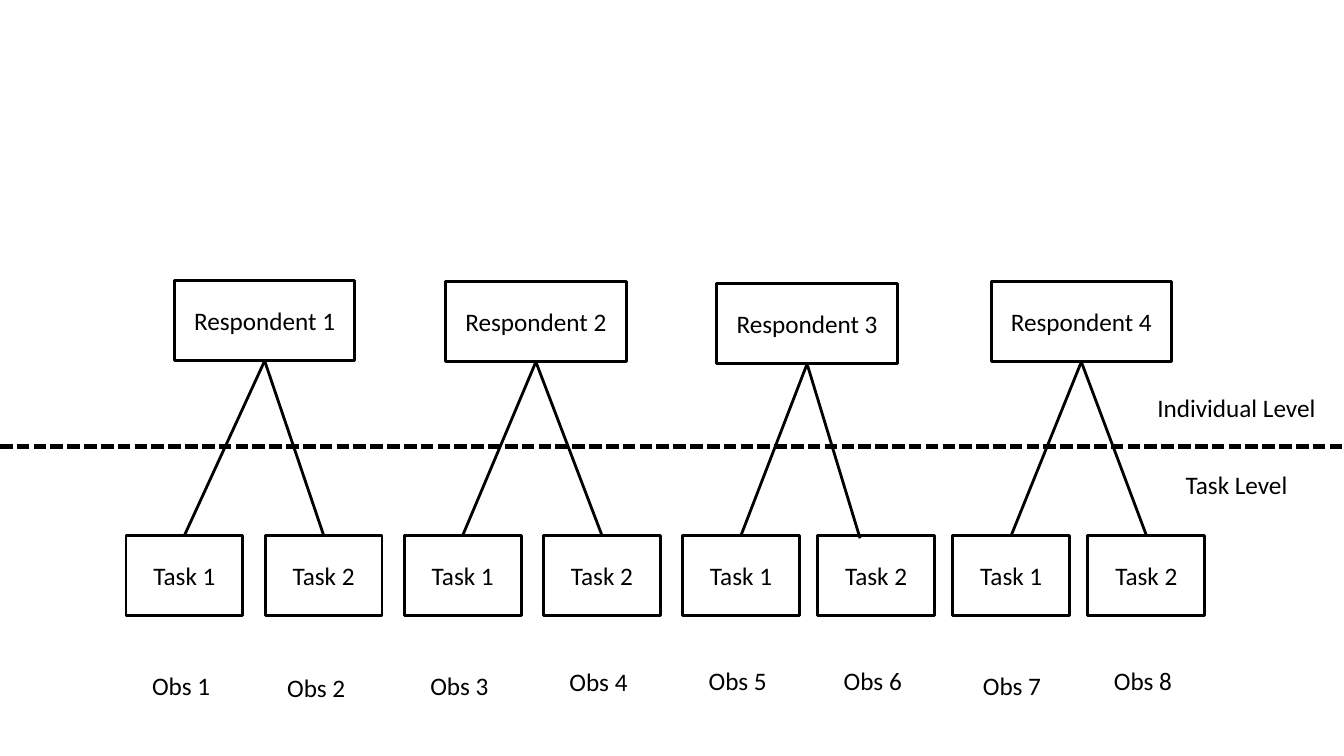
from dataclasses import dataclass

from lxml.etree import SubElement
from pptx import Presentation
from pptx.dml.color import RGBColor
from pptx.enum.dml import MSO_LINE
from pptx.enum.shapes import MSO_CONNECTOR, MSO_SHAPE
from pptx.enum.text import MSO_ANCHOR, MSO_AUTO_SIZE, PP_ALIGN
from pptx.oxml.ns import qn
from pptx.shapes.connector import Connector
from pptx.slide import Slide
from pptx.text.text import TextFrame
from pptx.util import Inches, Pt


@dataclass(frozen=True)
class Theme:
    """Colours, type and line weights of the diagram."""
    ink: RGBColor = RGBColor(0, 0, 0)
    font: str = "Calibri"
    text_size: float = 18
    line_width: float = 2
    divider_width: float = 3


@dataclass(frozen=True)
class Box:
    """A labelled rectangle, measured in inches."""
    text: str
    left: float
    top: float
    width: float
    height: float = 0.8

    @property
    def center(self) -> float:
        """Horizontal middle of the box."""
        return self.left + self.width / 2


@dataclass(frozen=True)
class Label:
    """A free line of text, measured in inches."""
    text: str
    left: float
    top: float
    width: float
    height: float = 0.4


@dataclass(frozen=True)
class Respondent:
    """Place of a respondent box and the shift of its right branch's foot."""
    left: float
    top: float
    shift_x: float = 0
    shift_y: float = 0


THEME = Theme()
SLIDE_WIDTH, SLIDE_HEIGHT = 13.33, 7.5
DIVIDER_TOP = 4.43
TASK_TOP, TASK_WIDTH = 5.31, 1.16
FIRST_TASK_LEFT, WIDE_STEP, NARROW_STEP, WIDE_STEPS = 1.25, 1.38, 1.34, 4
RESPONDENT_WIDTH = 1.79
TASKS_EACH = 2
OBSERVATION_WIDTH = 0.84

RESPONDENTS = [
    Respondent(1.73, 2.78),
    Respondent(4.42, 2.79),
    Respondent(7.11, 2.81, shift_x=-0.16, shift_y=0.03),
    Respondent(9.83, 2.79),
]
OBSERVATION_PLACES = [
    (1.41, 6.6), (2.75, 6.62), (4.17, 6.6), (5.55, 6.56),
    (6.93, 6.55), (8.27, 6.55), (9.65, 6.6), (10.95, 6.55),
]
LEVELS = [
    Label("Individual Level", 11.38, 3.84, 1.79),
    Label("Task Level", 11.66, 4.61, 1.22),
]


def write_text(frame: TextFrame, text: str, align: PP_ALIGN) -> None:
    """Put one styled line of text in a frame."""
    frame.text = text
    para = frame.paragraphs[0]
    para.alignment = align
    for span in para.runs:
        span.font.name = THEME.font
        span.font.size = Pt(THEME.text_size)
        span.font.color.rgb = THEME.ink


def draw_box(page: Slide, box: Box) -> None:
    """Draw an outlined box with centred text."""
    shape = page.shapes.add_shape(
        MSO_SHAPE.RECTANGLE, Inches(box.left), Inches(box.top),
        Inches(box.width), Inches(box.height))
    shape.shadow.inherit = False
    shape.fill.background()
    shape.line.color.rgb = THEME.ink
    shape.line.width = Pt(THEME.line_width)
    shape.text_frame.vertical_anchor = MSO_ANCHOR.MIDDLE
    write_text(shape.text_frame, box.text, PP_ALIGN.CENTER)


def draw_label(page: Slide, label: Label) -> None:
    """Draw a text box that grows with its single line."""
    text_box = page.shapes.add_textbox(
        Inches(label.left), Inches(label.top),
        Inches(label.width), Inches(label.height))
    frame = text_box.text_frame
    frame.word_wrap = False
    frame.auto_size = MSO_AUTO_SIZE.SHAPE_TO_FIT_TEXT
    write_text(frame, label.text, PP_ALIGN.LEFT)


def draw_line(page: Slide, start: tuple[float, float],
              end: tuple[float, float], width: float) -> Connector:
    """Draw a straight line without a shadow."""
    line = page.shapes.add_connector(
        MSO_CONNECTOR.STRAIGHT, *map(Inches, start + end))
    line.line.color.rgb = THEME.ink
    line.line.width = Pt(width)
    SubElement(line._element.spPr, qn("a:effectLst"))
    return line


def task_box(index: int) -> Box:
    """Place a task: wide steps first, then narrow ones."""
    wide = min(index, WIDE_STEPS)
    left = FIRST_TASK_LEFT + wide * WIDE_STEP + (index - wide) * NARROW_STEP
    return Box(f"Task {index % TASKS_EACH + 1}", left, TASK_TOP, TASK_WIDTH)


def draw_branches(page: Slide, respondent: Respondent, parent: Box,
                  left_task: Box, right_task: Box) -> None:
    """Join a respondent to both of its tasks."""
    start = (parent.center, parent.top + parent.height)
    feet = [
        (left_task.center, left_task.top),
        (right_task.center + respondent.shift_x,
         right_task.top + respondent.shift_y),
    ]
    for foot in feet:
        draw_line(page, start, foot, THEME.line_width)


def build() -> None:
    """Build the slide and save it."""
    deck = Presentation()
    deck.slide_width, deck.slide_height = Inches(SLIDE_WIDTH), Inches(SLIDE_HEIGHT)
    page = deck.slides.add_slide(deck.slide_layouts[6])

    tasks = [task_box(index) for index in range(len(RESPONDENTS) * TASKS_EACH)]
    parents = [Box(f"Respondent {number}", place.left, place.top, RESPONDENT_WIDTH)
               for number, place in enumerate(RESPONDENTS, 1)]
    for box in tasks + parents:
        draw_box(page, box)
    for index, (place, parent) in enumerate(zip(RESPONDENTS, parents)):
        first = index * TASKS_EACH
        draw_branches(page, place, parent, tasks[first], tasks[first + 1])

    divider = draw_line(page, (0, DIVIDER_TOP), (SLIDE_WIDTH, DIVIDER_TOP),
                        THEME.divider_width)
    divider.line.dash_style = MSO_LINE.SQUARE_DOT

    observations = [Label(f"Obs {number} ", left, top, OBSERVATION_WIDTH)
                    for number, (left, top) in enumerate(OBSERVATION_PLACES, 1)]
    for label in LEVELS + observations:
        draw_label(page, label)
    deck.save("out.pptx")


build()
